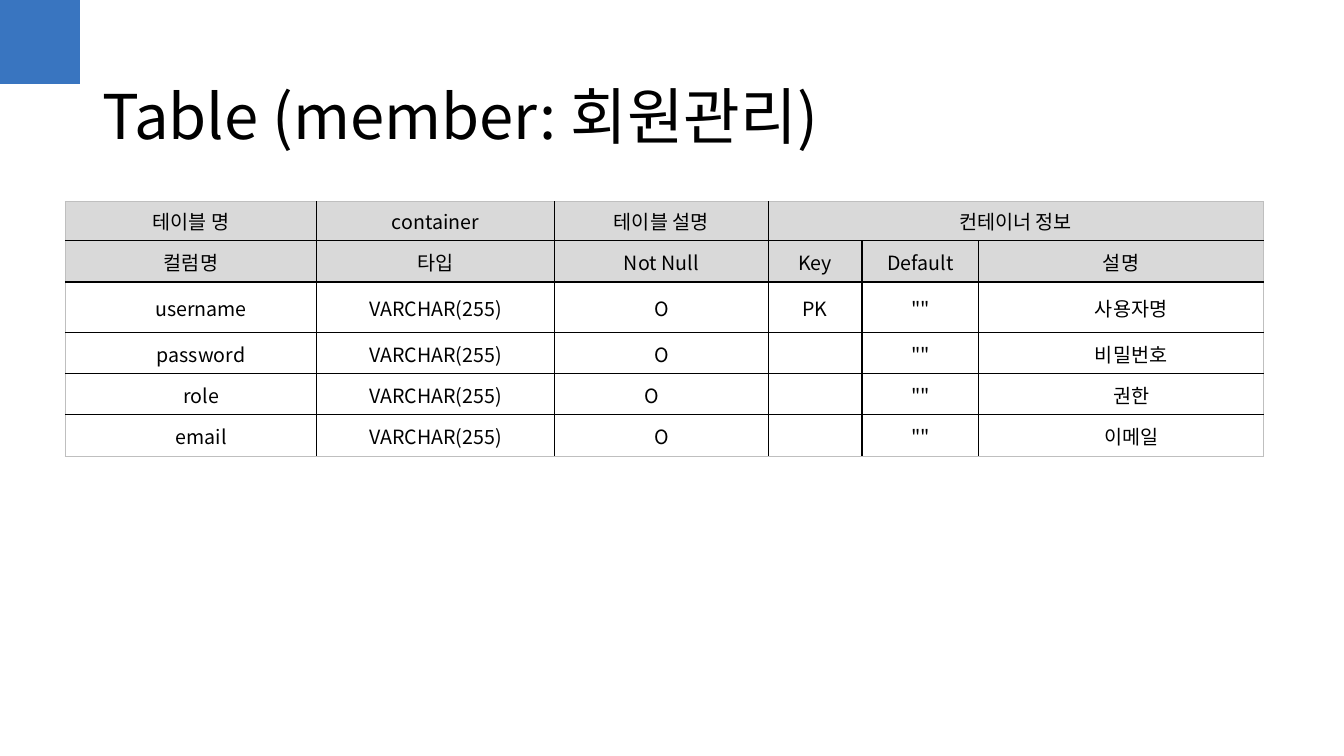
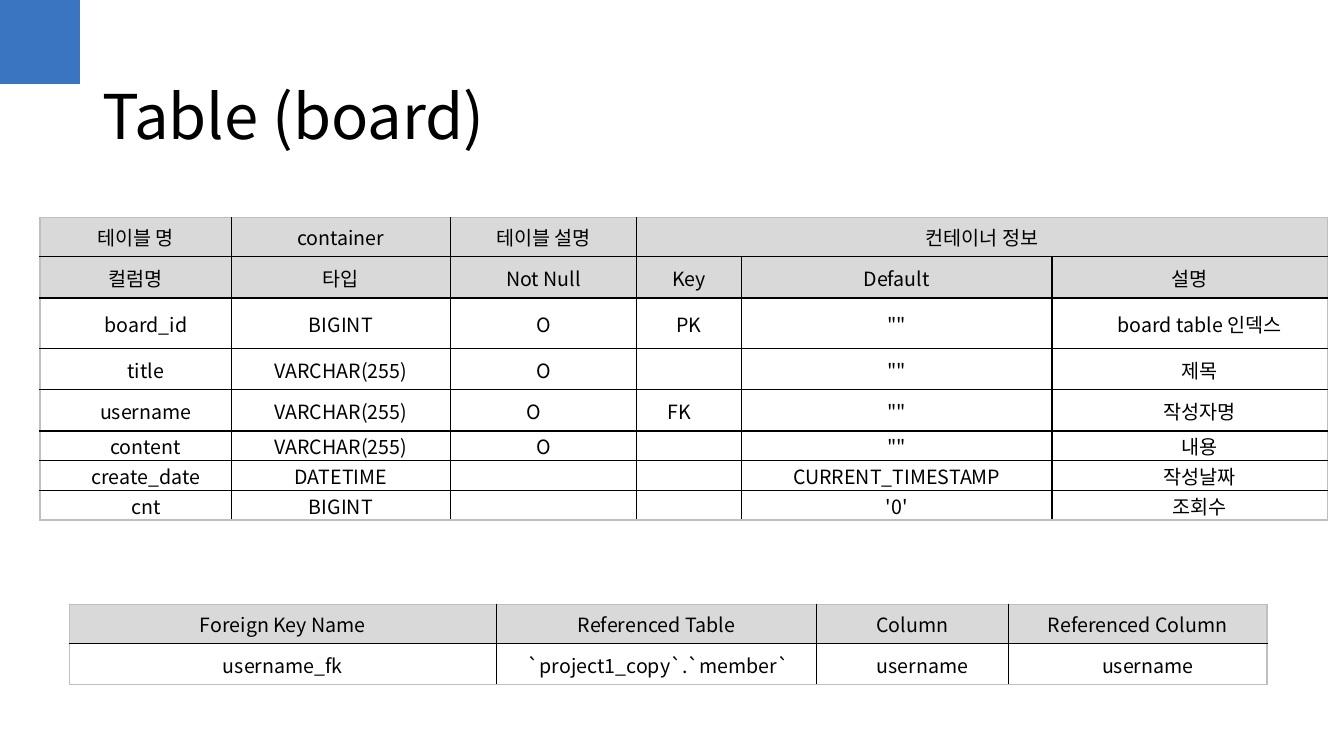
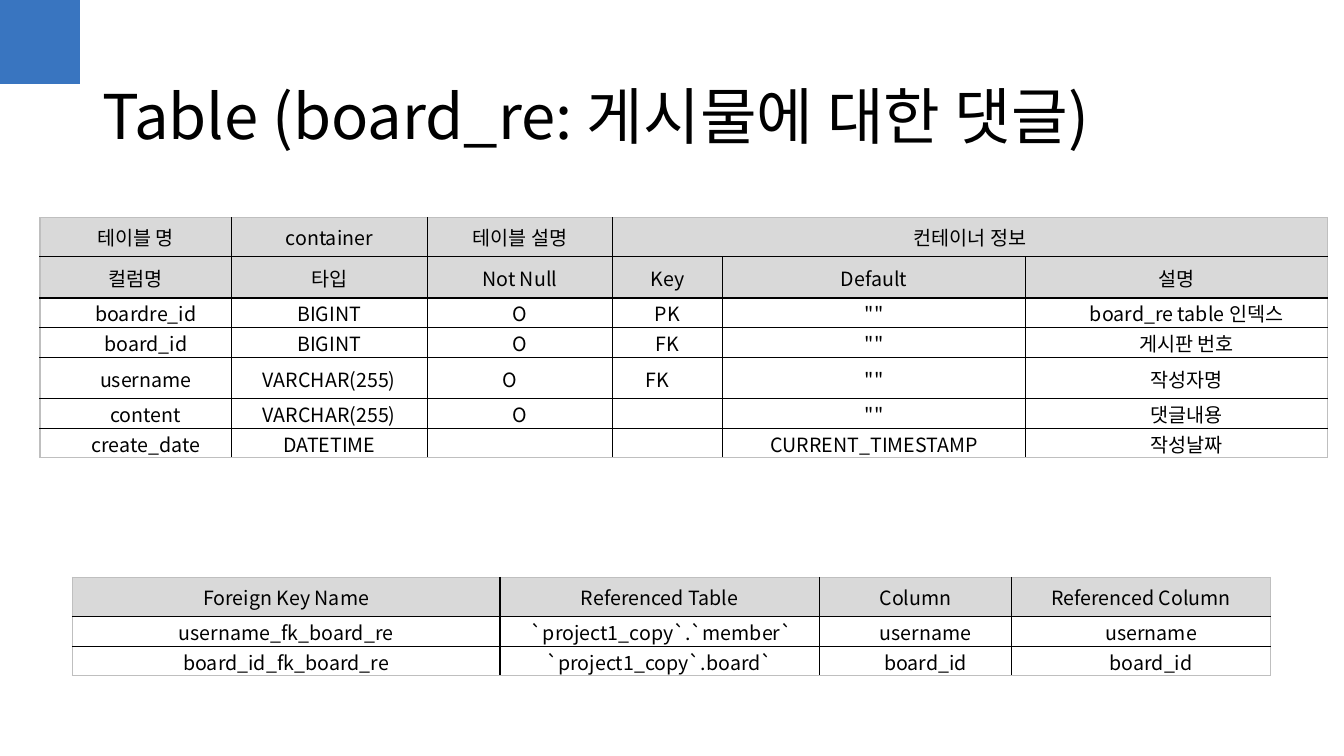
from dataclasses import dataclass

from lxml import etree
from pptx import Presentation
from pptx.dml.color import RGBColor
from pptx.enum.shapes import MSO_SHAPE
from pptx.enum.text import MSO_ANCHOR, PP_ALIGN
from pptx.oxml.ns import qn
from pptx.util import Pt

RECTANGLE = MSO_SHAPE.RECTANGLE
MIDDLE = MSO_ANCHOR.MIDDLE
CENTER = PP_ALIGN.CENTER


@dataclass(frozen=True)
class Theme:
    font: str = "Noto Sans CJK KR"
    accent: str = "3975C0"
    text: str = "000000"
    header: str = "D9D9D9"
    body: str = "FFFFFF"
    grid: str = "000000"
    frame: str = "BFBFBF"
    title_size: int = 44
    cell_size: int = 14
    line_width: int = 1
    indent: float = 14.4


THEME = Theme()

HEADER, TALL, MEDIUM, SHORT = 27.9, 36, 29.5, 21.2
TIGHT_MARGINS = {
    "margin_left": Pt(0.72),
    "margin_top": Pt(0.72),
    "margin_right": Pt(0.72),
    "margin_bottom": Pt(0),
}

SCHEMA_HEADER = [
    ["테이블 명", "container", "테이블 설명", "컨테이너 정보", "", ""],
    ["컬럼명", "타입", "Not Null", "Key", "Default", "설명"],
]
KEY_HEADER = [["Foreign Key Name", "Referenced Table", "Column", "Referenced Column"]]
KEY_WIDTHS = [305.3, 228.2, 137.5, 184.6]

MEMBER_ROWS = [
    ["username", "VARCHAR(255)", "O", "PK", '""', "사용자명"],
    ["password", "VARCHAR(255)", "O", "", '""', "비밀번호"],
    ["role", "VARCHAR(255)", "O　", "", '""', "권한"],
    ["email", "VARCHAR(255)", "O", "", '""', "이메일"],
]
BOARD_ROWS = [
    ["board_id", "BIGINT", "O", "PK", '""', "board table 인덱스"],
    ["title", "VARCHAR(255)", "O", "", '""', "제목"],
    ["username", "VARCHAR(255)", "O　", "FK　", '""', "작성자명"],
    ["content", "VARCHAR(255)", "O", "", '""', "내용"],
    ["create_date", "DATETIME", "", "", "CURRENT_TIMESTAMP", "작성날짜"],
    ["cnt", "BIGINT", "", "", "'0'", "조회수"],
]
REPLY_ROWS = [
    ["boardre_id", "BIGINT", "O", "PK", '""', "board_re table 인덱스"],
    ["board_id", "BIGINT", "O", "FK", '""', "게시판 번호"],
    ["username", "VARCHAR(255)", "O　", "FK　", '""', "작성자명"],
    ["content", "VARCHAR(255)", "O", "", '""', "댓글내용"],
    ["create_date", "DATETIME", "", "", "CURRENT_TIMESTAMP", "작성날짜"],
]
BOARD_KEYS = [["username_fk", " `project1_copy`.`member`", "username", "username"]]
REPLY_KEYS = [
    ["username_fk_board_re", " `project1_copy`.`member`", "username", "username"],
    ["board_id_fk_board_re", "`project1_copy`.board`", "board_id", "board_id"],
]


def apply_format(target, values):
    for name, value in values.items():
        setattr(target, name, value)


def fill_solid(fill, color):
    fill.solid()
    fill.fore_color.rgb = RGBColor.from_string(color)


def write_text(paragraph, text, size):
    """Write one run in the theme font, or size the paragraph when it is empty."""
    if not text:
        paragraph._p.get_or_add_endParaRPr().set("sz", str(size * 100))
        return
    run = paragraph.add_run()
    run.text = text
    apply_format(run.font, {"size": Pt(size), "name": THEME.font})
    run.font.color.rgb = RGBColor.from_string(THEME.text)
    east_asian = etree.SubElement(run._r.get_or_add_rPr(), qn("a:ea"))
    east_asian.set("typeface", THEME.font)


def add_borders(cell, outer_sides):
    """Draw grid lines around a cell, with the frame colour on its outer sides."""
    properties = cell._tc.get_or_add_tcPr()
    for side, is_outer in outer_sides.items():
        line = etree.SubElement(properties, qn(f"a:ln{side}"))
        line.set("w", str(Pt(THEME.line_width)))
        fill = etree.SubElement(line, qn("a:solidFill"))
        color = etree.SubElement(fill, qn("a:srgbClr"))
        color.set("val", THEME.frame if is_outer else THEME.grid)


def add_title_slide(presentation, title):
    """Add a slide with the corner block and its title."""
    slide = presentation.slides.add_slide(presentation.slide_layouts[6])
    corner = slide.shapes.add_shape(RECTANGLE, Pt(0), Pt(0), Pt(57), Pt(60))
    corner.shadow.inherit = False
    fill_solid(corner.fill, THEME.accent)
    corner.line.fill.background()

    box = slide.shapes.add_textbox(Pt(66), Pt(25.2), Pt(828), Pt(104.4))
    apply_format(box.text_frame, {"word_wrap": True, "vertical_anchor": MIDDLE})
    paragraph = box.text_frame.paragraphs[0]
    paragraph.line_spacing = 1.18
    write_text(paragraph, title, THEME.title_size)
    return slide


def add_grid(slide, position, widths, heights, header, body, indented, merge=None):
    """Add a table; indented lists the body columns that are pushed right,
    merge gives the first and last column joined in the top row."""
    rows = header + body
    left, top = position
    table = slide.shapes.add_table(
        len(rows), len(widths), Pt(left), Pt(top), Pt(sum(widths)), Pt(sum(heights))
    ).table
    apply_format(table, {"first_row": False, "horz_banding": False})
    for column, width in zip(table.columns, widths):
        column.width = Pt(width)
    for row, height in zip(table.rows, heights):
        row.height = Pt(height)
    if merge:
        table.cell(0, merge[0]).merge(table.cell(0, merge[1]))

    for row_index, texts in enumerate(rows):
        is_header = row_index < len(header)
        for column_index, text in enumerate(texts):
            cell = table.cell(row_index, column_index)
            if cell.is_spanned:
                continue
            cell.vertical_anchor = MIDDLE
            if row_index:
                apply_format(cell, TIGHT_MARGINS)
            add_borders(cell, {
                "L": column_index == 0,
                "R": column_index + cell.span_width == len(widths),
                "T": row_index == 0,
                "B": row_index == len(rows) - 1,
            })
            fill_solid(cell.fill, THEME.header if is_header else THEME.body)
            paragraph = cell.text_frame.paragraphs[0]
            paragraph.alignment = CENTER
            if not is_header and column_index in indented:
                properties = paragraph._p.get_or_add_pPr()
                properties.set("marL", str(Pt(THEME.indent)))
                properties.set("indent", "0")
            write_text(paragraph, text, THEME.cell_size)


def add_schema_table(slide, position, widths, body_heights, body):
    add_grid(slide, position, widths, [HEADER, MEDIUM] + body_heights,
             SCHEMA_HEADER, body, indented=(0, 5), merge=(3, 5))


def add_key_table(slide, position, body_heights, body):
    add_grid(slide, position, KEY_WIDTHS, [HEADER] + body_heights,
             KEY_HEADER, body, indented=(2, 3))


def main():
    presentation = Presentation()
    apply_format(presentation, {"slide_width": Pt(960), "slide_height": Pt(540)})

    member = add_title_slide(presentation, "Table (member: 회원관리)")
    add_schema_table(member, (46.8, 144), [179.3, 170, 152.6, 67, 83.5, 203.3],
                     [TALL] + [MEDIUM] * 3, MEMBER_ROWS)

    board = add_title_slide(presentation, "Table (board)")
    add_schema_table(board, (28.6, 155.5), [136.8, 156.2, 133.2, 74.9, 221.8, 196.6],
                     [TALL] + [MEDIUM] * 2 + [SHORT] * 3, BOARD_ROWS)
    add_key_table(board, (49.5, 431.7), [MEDIUM], BOARD_KEYS)

    reply = add_title_slide(presentation, "Table (board_re: 게시물에 대한 댓글)")
    add_schema_table(reply, (28.6, 155.5), [136.8, 139.7, 132.5, 78.5, 216.7, 215.3],
                     [SHORT] * 2 + [MEDIUM] + [SHORT] * 2, REPLY_ROWS)
    add_key_table(reply, (51.8, 412.5), [SHORT] * 2, REPLY_KEYS)

    presentation.save("out.pptx")


if __name__ == "__main__":
    main()
